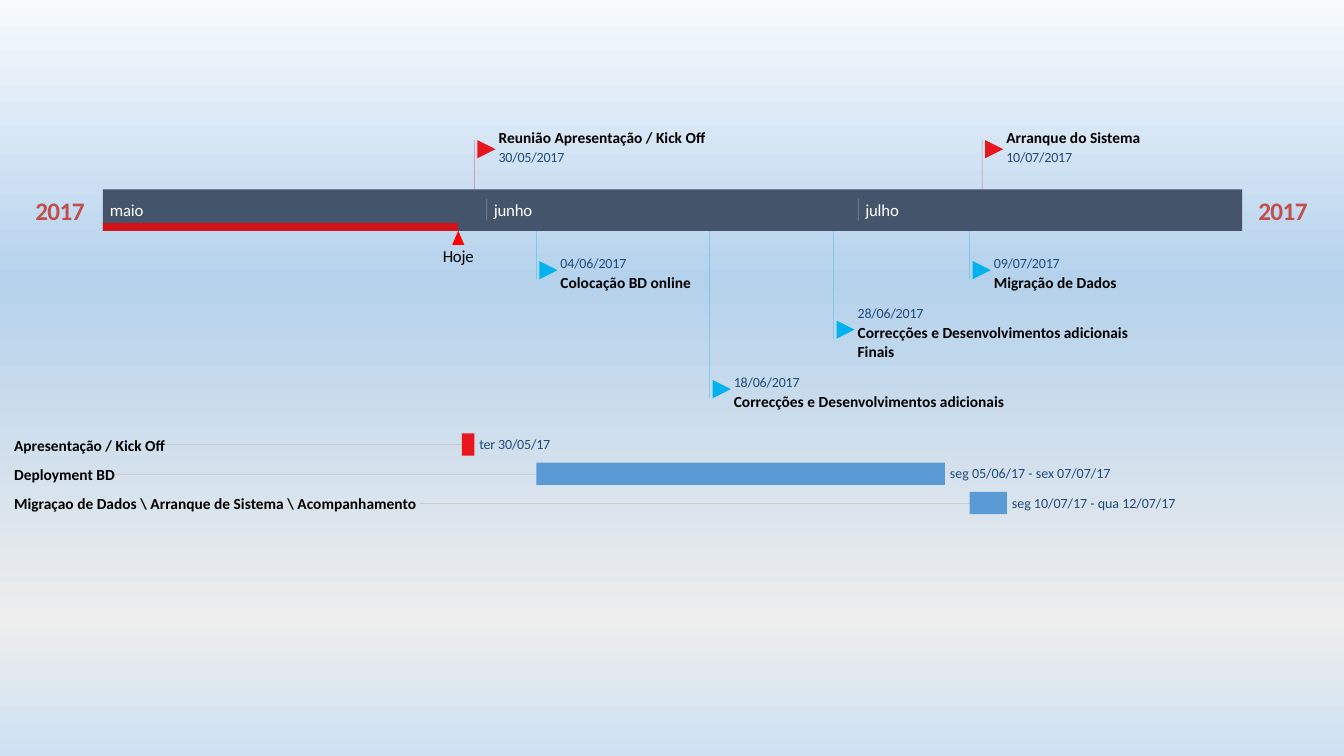
from lxml import etree
from pptx import Presentation
from pptx.dml.color import RGBColor
from pptx.enum.shapes import MSO_CONNECTOR, MSO_SHAPE
from pptx.enum.text import MSO_ANCHOR, MSO_AUTO_SIZE, PP_ALIGN
from pptx.oxml.ns import qn
from pptx.util import Inches, Pt

RECT, TRIANGLE, FLAG = MSO_SHAPE.RECTANGLE, MSO_SHAPE.ISOSCELES_TRIANGLE, MSO_SHAPE.FLOWCHART_MERGE
STRAIGHT = MSO_CONNECTOR.STRAIGHT
MIDDLE, FIT, NO_FIT = MSO_ANCHOR.MIDDLE, MSO_AUTO_SIZE.SHAPE_TO_FIT_TEXT, MSO_AUTO_SIZE.NONE
LEFT, CENTER = PP_ALIGN.LEFT, PP_ALIGN.CENTER

BLACK = RGBColor(0x00, 0x00, 0x00)
WHITE = RGBColor(0xFF, 0xFF, 0xFF)
SLATE = RGBColor(0x44, 0x54, 0x6A)
BRICK = RGBColor(0xC0, 0x50, 0x4D)
PURE_RED = RGBColor(0xFF, 0x00, 0x00)
RED = RGBColor(0xEA, 0x16, 0x1E)
CYAN = RGBColor(0x02, 0xB2, 0xEE)
BLUE = RGBColor(0x5B, 0x9B, 0xD5)
NAVY = RGBColor(0x1F, 0x49, 0x7E)
GREY = RGBColor(0xCC, 0xCC, 0xCC)
BACKGROUND = [(0, "F7FAFD"), (37, "B5D2EC"), (82, "EDEDED"), (100, "CEE1F2")]

# Time scale: one column per day, May to July
BAR_X, BAR_Y, BAR_W, BAR_H = 1.02, 1.88, 11.3, 0.41
BAR_BOTTOM = BAR_Y + BAR_H
DAY = BAR_W / 92
MONTHS = {5: ("maio", 0, 0.33), 6: ("junho", 31, 0.39), 7: ("julho", 61, 0.35)}
TODAY = 28.7

# Flags above and below the bar
FLAG_SIZE, FLAG_ABOVE, FLAG_BELOW, FLAG_STEP = 0.18, 1.39, 2.59, 0.59
# Text heights, and spare width that keeps each text on its lines
TITLE_H, DATE_H, SPARE_W = 0.19, 0.17, 0.06

# Task rows
TASK_X, TASK_Y, TASK_STEP, TASK_H = 0.14, 4.3, 0.29, 0.22

# Title, date, title width
KEY_EVENTS = [
    ("Reunião Apresentação / Kick Off", "30/05/2017", 2.06),
    ("Arranque do Sistema", "10/07/2017", 1.33),
]
# Title, date, title width, level, title lines
STEPS = [
    ("Colocação BD online", "04/06/2017", 1.29, 0, 1),
    ("Correcções e Desenvolvimentos adicionais", "18/06/2017", 2.68, 2, 1),
    ("Correcções e Desenvolvimentos adicionais Finais", "28/06/2017", 2.72, 1, 2),
    ("Migração de Dados", "09/07/2017", 1.22, 0, 1),
]
# Label, label width, period, period width, colour
TASKS = [
    ("Apresentação / Kick Off", 1.5, "ter 30/05/17", 0.74, RED),
    ("Deployment BD", 1.0, "seg 05/06/17 - sex 07/07/17", 1.61, BLUE),
    ("Migraçao de Dados \\ Arranque de Sistema \\ Acompanhamento", 4.03,
     "seg 10/07/17 - qua 12/07/17", 1.64, BLUE),
]


def day_x(days):
    return BAR_X + days * DAY


def day_end(date):
    """Days elapsed at the end of a dd/mm/yy date."""
    day, month = date.split("/")[:2]
    return MONTHS[int(month)][1] + int(day)


def set_alpha(sp, percent):
    for color in sp._element.spPr.iter(qn("a:srgbClr")):
        etree.SubElement(color, qn("a:alpha")).set("val", str(percent * 1000))


def add_background(s):
    fill = s.background.fill
    fill.gradient()
    fill.gradient_angle = 270
    stops = s._element.find(".//" + qn("a:gsLst"))
    for stop in list(stops):
        stops.remove(stop)
    for position, color in BACKGROUND:
        stop = etree.SubElement(stops, qn("a:gs"), pos=str(position * 1000))
        etree.SubElement(stop, qn("a:srgbClr"), val=color)


def add_block(s, kind, x, y, w, h, color):
    sp = s.shapes.add_shape(kind, Inches(x), Inches(y), Inches(w), Inches(h))
    sp.fill.solid()
    sp.fill.fore_color.rgb = color
    sp.line.fill.background()
    sp.shadow.inherit = False
    return sp


def add_line(s, x1, y1, x2, y2, color, width=0.38, alpha=100):
    line = s.shapes.add_connector(STRAIGHT, Inches(x1), Inches(y1), Inches(x2), Inches(y2))
    line.line.color.rgb = color
    line.line.width = Pt(width)
    if alpha < 100:
        set_alpha(line, alpha)
    etree.SubElement(line._element.spPr, qn("a:effectLst"))


def add_text(s, text, x, y, w, h, size, color, bold=False, align=LEFT,
             wrap=True, fit=FIT, spacing=0):
    tf = s.shapes.add_textbox(Inches(x), Inches(y), Inches(w), Inches(h)).text_frame
    tf.margin_left = tf.margin_right = tf.margin_top = tf.margin_bottom = 0
    tf.vertical_anchor = MIDDLE
    tf.word_wrap = wrap
    tf.auto_size = fit
    p = tf.paragraphs[0]
    p.text = text
    p.alignment = align
    p.font.name = "Calibri"
    p.font.size = Pt(size)
    p.font.bold = bold
    p.font.color.rgb = color
    if spacing:
        p._p.pPr.find(qn("a:defRPr")).set("spc", str(spacing))


def add_title(s, text, x, y, w, lines=1):
    add_text(s, text, x, y, w + SPARE_W, TITLE_H * lines, 11, BLACK, bold=True)


def add_date(s, text, x, y, w=0.68):
    add_text(s, text, x, y, w + SPARE_W, DATE_H, 10, NAVY, spacing=-10 if w < 1 else 0)


def add_time_bar(s):
    for x in (0.35, 12.48):
        add_text(s, "2017", x, 1.93, 0.49, 0.31, 18, BRICK, bold=True,
                 align=CENTER, wrap=False, spacing=-40)
    add_block(s, RECT, BAR_X, BAR_Y, BAR_W, BAR_H, SLATE)
    # Elapsed time and today's marker
    today = day_x(TODAY)
    set_alpha(add_block(s, RECT, BAR_X, 2.21, TODAY * DAY, 0.08, PURE_RED), 75)
    add_block(s, TRIANGLE, today - 0.06, BAR_BOTTOM, 0.12, 0.14, PURE_RED)
    add_text(s, "Hoje", today - 0.16, 2.44, 0.32, 0.2, 12, BLACK,
             align=CENTER, wrap=False, spacing=-20)
    for name, start, width in MONTHS.values():
        x = day_x(start)
        if start:
            add_line(s, x, 1.97, x, 2.19, WHITE, 0.5, 30)
        add_text(s, name, x + 0.07, 1.98, width, 0.2, 12, WHITE,
                 wrap=False, fit=NO_FIT, spacing=-15)


def add_flag(s, x, y, color):
    add_block(s, FLAG, x + 0.03, y, FLAG_SIZE, FLAG_SIZE, color).rotation = 270


def add_key_event(s, title, date, width):
    x, y = day_x(day_end(date)), FLAG_ABOVE
    add_line(s, x, y, x, BAR_Y, RED, alpha=50)
    add_title(s, title, x + 0.24, y - 0.12, width)
    add_date(s, date, x + 0.24, y + 0.08)
    add_flag(s, x, y, RED)


def add_step(s, title, date, width, level, lines):
    x, y = day_x(day_end(date)), FLAG_BELOW + level * FLAG_STEP
    top = y + 0.03 - TITLE_H * lines / 2
    add_line(s, x, BAR_BOTTOM, x, y + FLAG_SIZE, CYAN, alpha=50)
    add_title(s, title, x + 0.24, top + 0.18, width, lines)
    add_date(s, date, x + 0.24, top)
    add_flag(s, x, y, CYAN)


def add_task(s, row, label, label_w, period, period_w, color):
    y = TASK_Y + row * TASK_STEP
    dates = [day.split()[-1] for day in period.split(" - ")]
    start, end = day_x(day_end(dates[0]) - 1), day_x(day_end(dates[-1]))
    add_line(s, TASK_X + label_w, y + TASK_H / 2, start, y + TASK_H / 2, GREY)
    add_block(s, RECT, start, y, end - start, TASK_H, color)
    add_date(s, period, end + 0.05, y + 0.02, period_w)
    add_title(s, label, TASK_X, y + 0.02, label_w)


def main():
    prs = Presentation()
    prs.slide_width, prs.slide_height = Inches(13.33), Inches(7.5)
    s = prs.slides.add_slide(prs.slide_layouts[6])
    add_background(s)
    add_time_bar(s)
    for event in KEY_EVENTS:
        add_key_event(s, *event)
    for step in STEPS:
        add_step(s, *step)
    for row, task in enumerate(TASKS):
        add_task(s, row, *task)
    prs.save("out.pptx")


if __name__ == "__main__":
    main()
